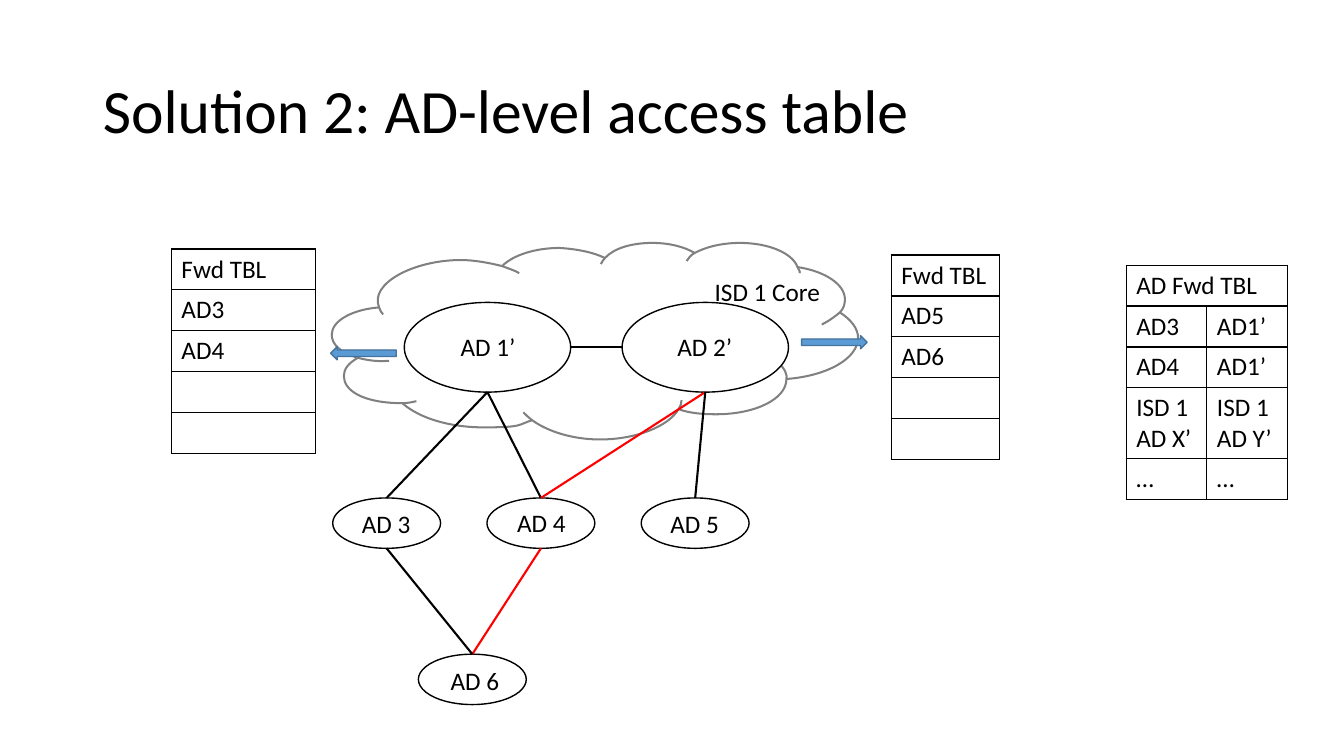
from lxml import etree
from pptx import Presentation
from pptx import util as u
from pptx.dml.color import RGBColor
from pptx.enum import shapes as sh, text as tx
from pptx.oxml.ns import qn

COLORS = {"ink": "000000", "paper": "FFFFFF", "cloud": "808080",
          "alert": "FF0000", "arrow": "5B9BD5", "edge": "43739E"}
TITLE = "Solution 2: AD-level access table"
CORE, LEAF = (1.65, 0.89), (1.07, 0.5)
# name: (left, top, size, label left, label top, label width)
NODES = {
    "AD 1’": (4.01, 3, CORE, 4.47, 3.24, 0.75),
    "AD 2’": (6.17, 3, CORE, 6.62, 3.24, 0.75),
    "AD 3": (3.3, 4.94, LEAF, 3.49, 4.99, 0.69),
    "AD 4": (4.83, 4.94, LEAF, 5.03, 4.98, 0.69),
    "AD 5": (6.36, 4.94, LEAF, 6.55, 4.99, 0.69),
    "AD 6": (4.15, 6.49, LEAF, 4.37, 6.55, 0.69),
}
LINKS = [("AD 1’", "AD 3", "ink"), ("AD 1’", "AD 4", "ink"),
         ("AD 2’", "AD 4", "alert"), ("AD 2’", "AD 5", "ink"),
         ("AD 4", "AD 6", "alert"), ("AD 3", "AD 6", "ink")]
ARROWS = [(3.28, 3.44, 0), (7.95, 3.33, 180)]
HEIGHT = 2.03
# left, top, column width, rows
TABLES = [
    (1.7, 2.47, 1.43, [["Fwd TBL"], ["AD3"], ["AD4"], [""], [""]]),
    (8.84, 2.53, 1.07, [["Fwd TBL"], ["AD5"], ["AD6"], [""], [""]]),
    (11.17, 2.63, 0.8, [["AD Fwd TBL", ""], ["AD3", "AD1’"], ["AD4", "AD1’"],
                        ["ISD 1 AD X’", "ISD 1 AD Y’"], ["…", "…"]]),
]
# Each curve: start point, then two control points and an end point per arc
RIM = [(3.76, 3.05),
       (3.66, 2.81), (4.11, 2.58), (4.57, 2.58), (4.71, 2.58), (4.86, 2.61), (4.98, 2.64),
       (5.09, 2.53), (5.31, 2.46), (5.55, 2.46), (5.71, 2.47), (5.88, 2.5), (6, 2.56),
       (6.09, 2.46), (6.27, 2.41), (6.47, 2.41), (6.64, 2.41), (6.79, 2.45), (6.89, 2.51),
       (7, 2.45), (7.16, 2.41), (7.34, 2.41), (7.62, 2.41), (7.86, 2.51), (7.91, 2.65),
       (8.18, 2.69), (8.38, 2.82), (8.38, 2.97), (8.38, 3.01), (8.37, 3.06), (8.33, 3.1),
       (8.44, 3.17), (8.51, 3.26), (8.51, 3.35), (8.51, 3.56), (8.2, 3.73), (7.8, 3.76),
       (7.8, 3.96), (7.49, 4.11), (7.1, 4.11), (6.97, 4.11), (6.84, 4.1), (6.73, 4.06),
       (6.63, 4.23), (6.31, 4.36), (5.95, 4.36), (5.68, 4.36), (5.43, 4.28), (5.28, 4.17),
       (5.13, 4.21), (5.21, 4.24), (4.8, 4.24), (4.46, 4.24), (4.16, 4.15), (3.99, 4),
       (3.61, 4), (3.41, 3.88), (3.41, 3.73), (3.41, 3.66), (3.46, 3.6), (3.55, 3.55),
       (3.38, 3.5), (3.29, 3.42), (3.29, 3.32), (3.29, 3.18), (3.5, 3.07), (3.76, 3.05)]
FOLDS = [
    [(3.76, 3.05), (3.76, 3.08), (3.79, 3.1), (3.8, 3.12)],
    [(4.98, 2.64), (5.03, 2.66), (5.1, 2.68), (5.15, 2.71)],
    [(6, 2.56), (5.98, 2.58), (5.97, 2.6), (5.96, 2.62)],
    [(6.89, 2.51), (6.85, 2.53), (6.83, 2.56), (6.81, 2.59)],
    [(7.91, 2.65), (7.92, 2.67), (7.94, 2.7), (7.93, 2.71)],
    [(8.33, 3.1), (8.28, 3.14), (8.23, 3.18), (8.15, 3.22)],
    [(7.8, 3.76), (7.82, 3.69), (7.71, 3.51), (7.4, 3.44)],
    [(6.73, 4.06), (6.75, 4.03), (6.76, 4), (6.76, 3.97)],
    [(5.28, 4.17), (5.24, 4.14), (5.22, 4.12), (5.19, 4.09)],
    [(3.99, 4), (4.04, 4), (4.09, 3.99), (4.13, 3.98)],
    [(3.55, 3.55), (3.63, 3.57), (3.72, 3.59), (3.86, 3.58)],
]


def rgb(name):
    return RGBColor.from_string(COLORS[name])


def inches(*nums):
    return [u.Inches(n) for n in nums]


def style(shape, fill, line, width=1):
    shape.shadow.inherit = False
    shape.fill.solid()
    shape.fill.fore_color.rgb = rgb(fill)
    shape.line.color.rgb = rgb(line)
    shape.line.width = u.Pt(width)


def write(frame, words, size=18):
    para = frame.paragraphs[0]
    para.text = words
    para.alignment = tx.PP_ALIGN.LEFT
    for key, val in {"name": "Calibri", "size": u.Pt(size)}.items():
        setattr(para.font, key, val)
    para.font.color.rgb = rgb("ink")
    return para


def label(slide, words, *box):
    frame = slide.shapes.add_textbox(*inches(*box)).text_frame
    frame.word_wrap = False
    frame.auto_size = tx.MSO_AUTO_SIZE.SHAPE_TO_FIT_TEXT
    write(frame, words)


def bend(shape):
    """Turn each three line points into one cubic arc; leave open strokes unfilled."""
    outline = shape._element.spPr.find(".//" + qn("a:path"))
    stroke = outline
    for step in list(outline):
        if step.tag == qn("a:moveTo"):
            if step is not outline[0]:
                stroke = etree.SubElement(outline.getparent(), qn("a:path"),
                                          dict(outline.attrib), fill="none")
            arc = None
        if step.tag != qn("a:lnTo"):
            stroke.append(step)
            continue
        if arc is None or len(arc) == 3:
            arc = etree.SubElement(stroke, qn("a:cubicBezTo"))
        arc.append(step[0])
        outline.remove(step)


def cloud(slide):
    first, *rest = [inches(*dot) for dot in RIM]
    pen = slide.shapes.build_freeform(*first)
    pen.add_line_segments(rest, close=True)
    for fold in FOLDS:
        first, *rest = [inches(*dot) for dot in fold]
        pen.move_to(*first)
        pen.add_line_segments(rest, close=False)
    shape = pen.convert_to_shape()
    bend(shape)
    style(shape, "paper", "cloud", 1.45)


def link(slide, start, end, color):
    line = slide.shapes.add_connector(sh.MSO_CONNECTOR.STRAIGHT, *inches(*start, *end))
    line.line.color.rgb = rgb(color)
    line.line.width = u.Pt(1.5)
    etree.SubElement(line._element.spPr, qn("a:effectLst"))


def border(cell):
    props = cell._tc.get_or_add_tcPr()
    for n, side in enumerate(("lnL", "lnR", "lnT", "lnB")):
        line = etree.Element(qn("a:" + side), w=str(u.Pt(1)))
        fill = etree.SubElement(line, qn("a:solidFill"))
        etree.SubElement(fill, qn("a:srgbClr"), val=COLORS["ink"])
        props.insert(n, line)


def grid(slide, left, top, width, rows):
    cols = len(rows[0])
    box = inches(left, top, width * cols, HEIGHT)
    table = slide.shapes.add_table(len(rows), cols, *box).table
    table.first_row = table.horz_banding = False
    for r, row in enumerate(rows):
        for c, words in enumerate(row):
            cell = table.cell(r, c)
            cell.fill.background()
            border(cell)
            write(cell.text_frame, words)
    if cols > 1:
        table.cell(0, 0).merge(table.cell(0, cols - 1))


def main():
    deck = Presentation()
    deck.slide_width, deck.slide_height = inches(13.33, 7.5)
    slide = deck.slides.add_slide(deck.slide_layouts[5])
    title = slide.shapes.title
    title.left, title.top, title.width, title.height = inches(0.92, 0.4, 11.5, 1.45)
    title.text_frame.vertical_anchor = tx.MSO_ANCHOR.MIDDLE
    title.text_frame.auto_size = tx.MSO_AUTO_SIZE.NONE
    write(title.text_frame, TITLE, 44).line_spacing = 0.9

    cloud(slide)
    tops, feet = {}, {}
    for name, (left, top, (wide, high), *_) in NODES.items():
        oval = slide.shapes.add_shape(sh.MSO_SHAPE.OVAL, *inches(left, top, wide, high))
        style(oval, "paper", "ink")
        tops[name] = (left + wide / 2, top)
        feet[name] = (left + wide / 2, top + high)
    mid = 3 + CORE[1] / 2
    link(slide, (4.01 + CORE[0], mid), (6.17, mid), "ink")
    for start, end, color in LINKS:
        link(slide, feet[start], tops[end], color)
    label(slide, "ISD 1 Core", 6.99, 2.69, 1.26, 0.4)
    for name, (*_, left, top, wide) in NODES.items():
        label(slide, name, left, top, wide, 0.4)
    for left, top, turn in ARROWS:
        arrow = slide.shapes.add_shape(sh.MSO_SHAPE.LEFT_ARROW, *inches(left, top, 0.65, 0.13))
        arrow.rotation = turn
        style(arrow, "arrow", "edge")
    for table in TABLES:
        grid(slide, *table)
    deck.save("out.pptx")


if __name__ == "__main__":
    main()
